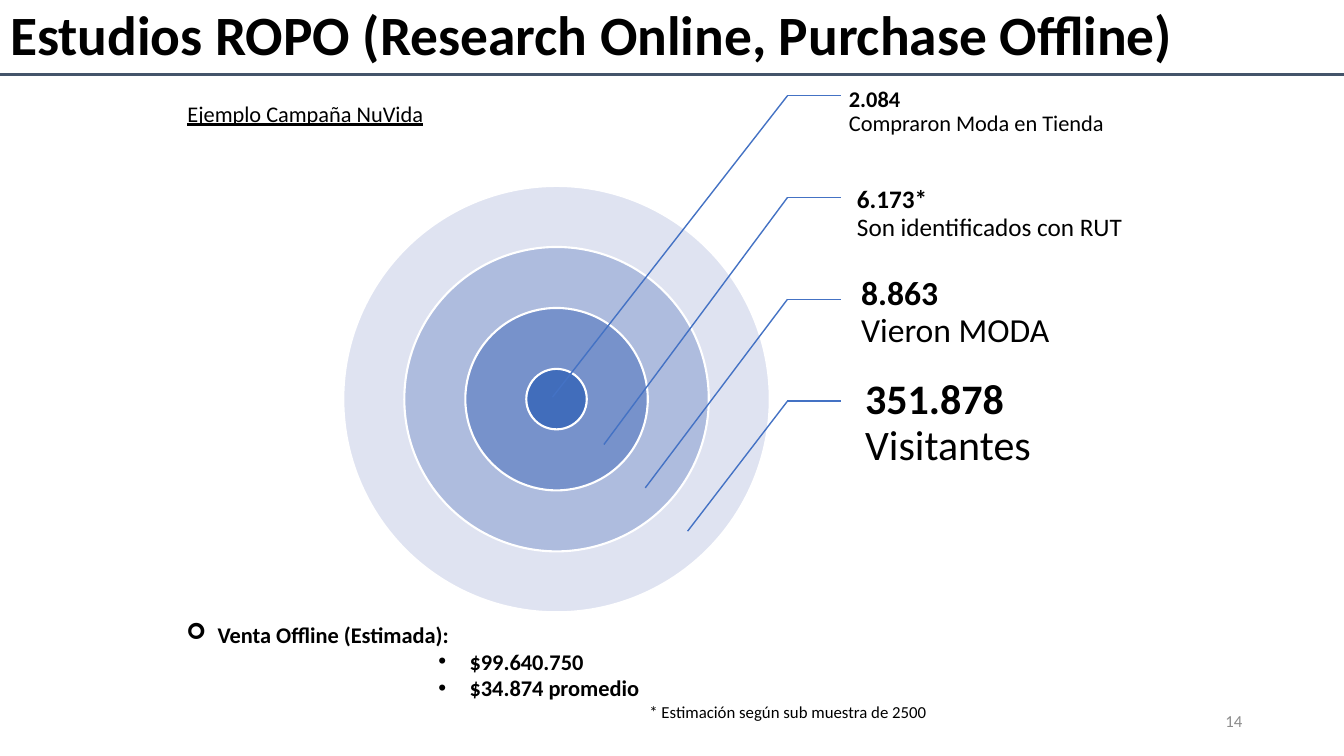
from lxml.etree import SubElement
from pptx import Presentation
from pptx.dml.color import RGBColor
from pptx.enum.shapes import MSO_CONNECTOR as Connector, MSO_SHAPE as Shape
from pptx.enum.text import MSO_ANCHOR as Anchor, PP_ALIGN as Align
from pptx.oxml.ns import qn
from pptx.util import Inches, Pt

COLORS = {
    "text": "000000",
    "page": "8C8C8C",
    "rule": "44546A",
    "leader": "4472C4",
    "outline": "FFFFFF",
    "visitors": "C1C9E4",
    "viewers": "97A9D5",
    "identified": "6C8AC8",
    "buyers": "416DBB",
}
RINGS = [("visitors", 50), ("viewers", 67), ("identified", 83), ("buyers", 100)]
CENTER_X, CENTER_Y = 5.52, 3.96
OUTER_DIAMETER, RING_STEP = 4.23, 1.21
ELBOW_X, LEADER_END_X = 7.81, 8.34
FIRST_LEADER_Y, LEADER_STEP = 0.95, 1.01
LABELS = [
    ("2.084\v", "Compraron Moda en Tienda", 16, (8.3, 0.61, 2.87), (0.12, 0.02), (5.48, 3.94)),
    ("6.173*\v", "Son identificados con RUT", 18, (8.36, 1.62, 2.87), (0.14, 0.03), (5.99, 4.41)),
    ("8.863\v", "Vieron MODA", 24, (8.35, 2.6, 3.18), (0.19, 0.03), (6.4, 4.84)),
    ("351.878 ", "Visitantes", 30, (8.35, 3.7, 2.11), (0.23, 0.04), (6.82, 5.27)),
]
SALES = [
    ("Venta Offline (Estimada):", 0, 0.31, "➢", "Wingdings"),
    ("$99.640.750", 4, 2.81, "•", "Arial"),
    ("$34.874 promedio", 4, 2.81, "•", "Arial"),
]


def color(name):
    return RGBColor.from_string(COLORS[name])


def format_runs(paragraph, size, bold=False, name="text"):
    for run in paragraph.runs:
        run.font.name = "Calibri"
        run.font.size = Pt(size)
        run.font.bold = bold
        run.font.color.rgb = color(name)


def set_margins(frame, left, others):
    frame.margin_left = Inches(left)
    frame.margin_top = frame.margin_right = frame.margin_bottom = Inches(others)


def add_text(slide, box, text):
    frame = slide.shapes.add_textbox(*map(Inches, box)).text_frame
    frame.word_wrap = True
    frame.text = text
    return frame


def add_line(slide, start, end, name, width):
    line = slide.shapes.add_connector(Connector.STRAIGHT, *map(Inches, start + end))
    line.line.color.rgb = color(name)
    line.line.width = Pt(width)
    SubElement(line._element.spPr, qn("a:effectLst"))


def add_title(slide, text):
    title = slide.shapes.title
    title.left, title.top, title.width, title.height = map(Inches, (0, 0, 13.33, 0.74))
    frame = title.text_frame
    frame.text = text
    frame.vertical_anchor = Anchor.MIDDLE
    heading = frame.paragraphs[0]
    heading.alignment = Align.LEFT
    heading.line_spacing = 0.9
    format_runs(heading, 39.6, True)


def add_ring(slide, diameter, name, opacity):
    radius = diameter / 2
    box = (CENTER_X - radius, CENTER_Y - radius, diameter, diameter)
    ring = slide.shapes.add_shape(Shape.OVAL, *map(Inches, box))
    ring.shadow.inherit = False
    ring.fill.solid()
    ring.fill.fore_color.rgb = color(name)
    if opacity < 100:
        tint = ring._element.spPr.find(qn("a:solidFill")).find(qn("a:srgbClr"))
        SubElement(tint, qn("a:alpha"), val=str(opacity * 1000))
    ring.line.color.rgb = color("outline")
    ring.line.width = Pt(1.5)


def add_label(slide, figure, caption, size, box, margins):
    frame = add_text(slide, box + (1.01,), figure)
    frame.vertical_anchor = Anchor.MIDDLE
    set_margins(frame, *margins)
    label = frame.paragraphs[0]
    label.line_spacing = 0.9
    label.add_run().text = caption
    format_runs(label, size)
    label.runs[0].font.bold = True
    for line_break in label._p.findall(qn("a:br")):
        SubElement(line_break, qn("a:rPr"), sz=str(size * 100))


def add_leader(slide, y, target):
    elbow = (ELBOW_X, y)
    add_line(slide, elbow, (LEADER_END_X, y), "leader", 1)
    add_line(slide, elbow, target, "leader", 1)


def add_bullet(paragraph, indent, symbol, typeface):
    props = paragraph._p.get_or_add_pPr()
    props.set("marL", str(Inches(indent)))
    props.set("indent", str(Inches(-0.31)))
    SubElement(props, qn("a:buFont"), typeface=typeface)
    SubElement(props, qn("a:buChar"), char=symbol)


def add_sales(slide):
    lines = [text for text, *_ in SALES] + ["* Estimación según sub muestra de 2500"]
    frame = add_text(slide, (1.75, 6.11, 7.54, 1.11), "\n".join(lines))
    *items, footnote = frame.paragraphs
    for item, (_, level, indent, symbol, typeface) in zip(items, SALES):
        item.level = level
        add_bullet(item, indent, symbol, typeface)
        format_runs(item, 16, True)
    footnote.alignment = Align.RIGHT
    format_runs(footnote, 12)


def add_campaign(slide):
    frame = add_text(slide, (1.86, 0.99, 3.07, 0.47), "Ejemplo Campaña NuVida")
    set_margins(frame, 0, 0)
    campaign = frame.paragraphs[0]
    format_runs(campaign, 16)
    campaign.runs[0].font.underline = True


def add_page_number(slide):
    frame = add_text(slide, (9.42, 6.95, 3, 0.4), "14")
    frame.vertical_anchor = Anchor.MIDDLE
    number = frame.paragraphs[0]
    number.alignment = Align.RIGHT
    format_runs(number, 12, name="page")


def main():
    deck = Presentation()
    deck.slide_width, deck.slide_height = Inches(13.33), Inches(7.5)
    slide = deck.slides.add_slide(deck.slide_layouts[5])
    add_title(slide, "Estudios ROPO (Research Online, Purchase Offline)")
    add_line(slide, (0, 0.74), (13.33, 0.74), "rule", 2.25)
    add_page_number(slide)
    for index, (name, opacity) in enumerate(RINGS):
        add_ring(slide, OUTER_DIAMETER - index * RING_STEP, name, opacity)
    for index, (figure, caption, size, box, margins, target) in enumerate(LABELS):
        add_label(slide, figure, caption, size, box, margins)
        add_leader(slide, FIRST_LEADER_Y + index * LEADER_STEP, target)
    add_sales(slide)
    add_campaign(slide)
    deck.save("out.pptx")


if __name__ == "__main__":
    main()
